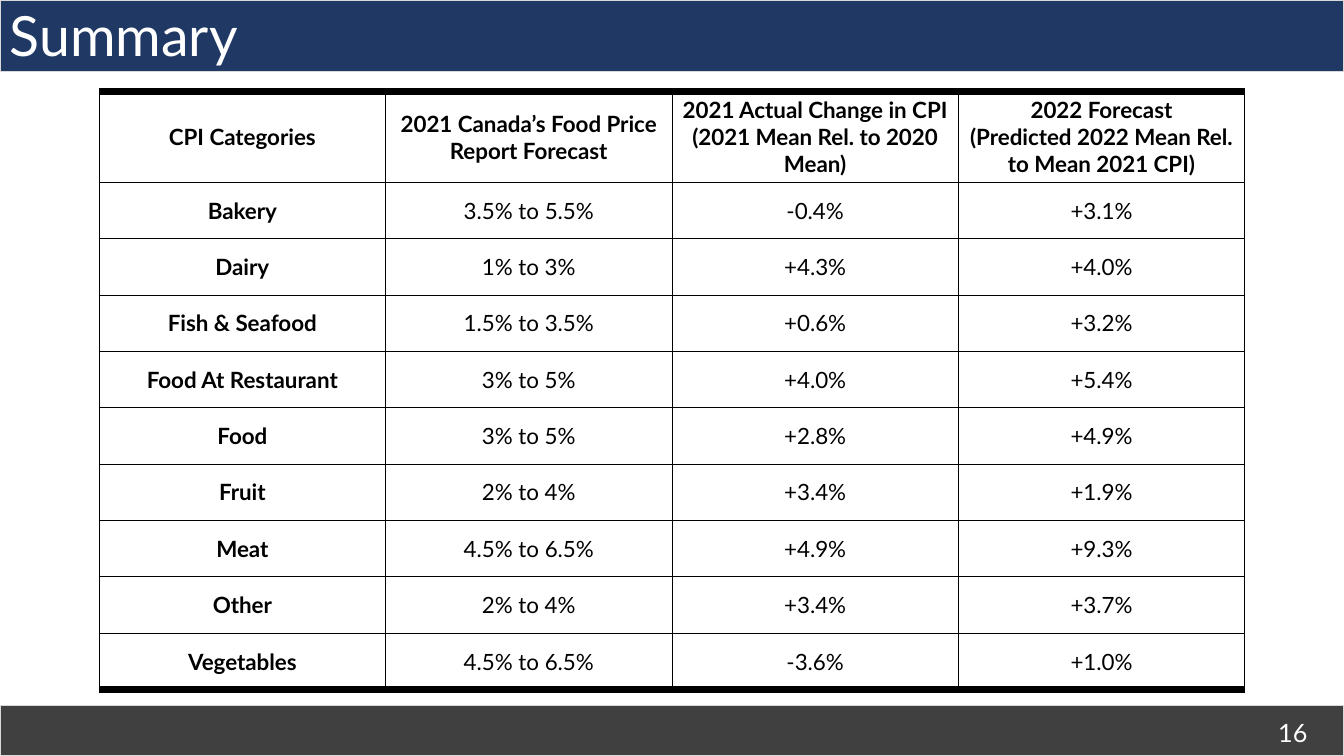
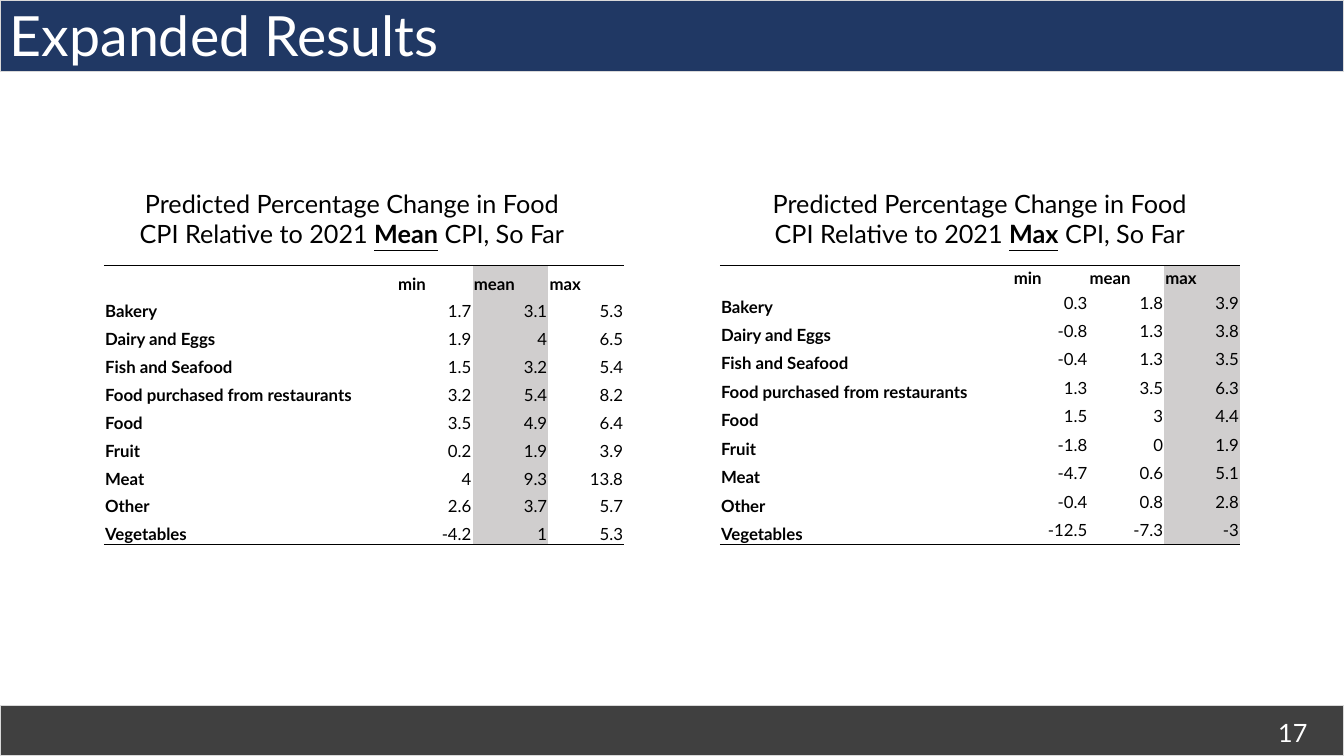
from dataclasses import dataclass

from pptx import Presentation
from pptx.dml.color import RGBColor
from pptx.enum import shapes, text
from pptx.oxml import xmlchemy
from pptx import util as u


@dataclass(frozen=True)
class Theme:
    font: str = "Lato"
    navy: str = "203864"
    charcoal: str = "404040"
    outline: str = "D9D9D9"
    highlight: str = "D0CECE"
    black: str = "000000"
    white: str = "FFFFFF"
    title_size: float = 39.6
    caption_size: float = 18
    summary_size: float = 16
    result_size: float = 12


@dataclass(frozen=True)
class Box:
    left: float
    top: float
    width: float
    height: float

    def lengths(self):
        return [u.Cm(side) for side in (self.left, self.top, self.width, self.height)]


THEME = Theme()
PAGE = Box(0, 0, 33.87, 19.05)
CENTER, LEFT, RIGHT = text.PP_ALIGN.CENTER, text.PP_ALIGN.LEFT, text.PP_ALIGN.RIGHT
MIDDLE, BOTTOM = text.MSO_ANCHOR.MIDDLE, text.MSO_ANCHOR.BOTTOM

SUMMARY_ROWS = [
    ("CPI Categories", "2021 Canada’s Food Price Report Forecast",
     "2021 Actual Change in CPI (2021 Mean Rel. to 2020 Mean)",
     "2022 Forecast\n(Predicted 2022 Mean Rel. to Mean 2021 CPI)"),
    ("Bakery", "3.5% to 5.5%", "-0.4%", "+3.1%"),
    ("Dairy", "1% to 3%", "+4.3%", "+4.0%"),
    ("Fish & Seafood", "1.5% to 3.5%", "+0.6%", "+3.2%"),
    ("Food At Restaurant", "3% to 5%", "+4.0%", "+5.4%"),
    ("Food", "3% to 5%", "+2.8%", "+4.9%"),
    ("Fruit", "2% to 4%", "+3.4%", "+1.9%"),
    ("Meat", "4.5% to 6.5%", "+4.9%", "+9.3%"),
    ("Other", "2% to 4%", "+3.4%", "+3.7%"),
    ("Vegetables", "4.5% to 6.5%", "-3.6%", "+1.0%"),
]
RESULT_HEADER = ("", "min", "mean", "max")
RESULT_LABELS = ("Bakery", "Dairy and Eggs", "Fish and Seafood",
                 "Food purchased from restaurants", "Food", "Fruit", "Meat",
                 "Other", "Vegetables")
MEAN_VALUES = [
    ("1.7", "3.1", "5.3"), ("1.9", "4", "6.5"), ("1.5", "3.2", "5.4"),
    ("3.2", "5.4", "8.2"), ("3.5", "4.9", "6.4"), ("0.2", "1.9", "3.9"),
    ("4", "9.3", "13.8"), ("2.6", "3.7", "5.7"), ("-4.2", "1", "5.3"),
]
MAX_VALUES = [
    ("0.3", "1.8", "3.9"), ("-0.8", "1.3", "3.8"), ("-0.4", "1.3", "3.5"),
    ("1.3", "3.5", "6.3"), ("1.5", "3", "4.4"), ("-1.8", "0", "1.9"),
    ("-4.7", "0.6", "5.1"), ("-0.4", "0.8", "2.8"), ("-12.5", "-7.3", "-3"),
]


def add_span(para, words, *, size, color=THEME.black, bold=False, underline=False):
    span = para.add_run()
    span.text = words
    font = span.font
    font.name, font.size = THEME.font, u.Pt(size)
    font.bold, font.underline = bold, underline
    font.color.rgb = RGBColor.from_string(color)


def write(frame, words, *, align=LEFT, size, **style):
    for index, line in enumerate(words.split("\n")):
        para = frame.add_paragraph() if index else frame.paragraphs[0]
        para.alignment = align
        if line:
            add_span(para, line, size=size, **style)
        else:
            ending = xmlchemy.OxmlElement("a:endParaRPr")
            ending.set("sz", str(size * 100))
            para._p.append(ending)


def add_text_box(page, box, anchor=text.MSO_ANCHOR.TOP):
    frame = page.shapes.add_textbox(*box.lengths()).text_frame
    frame.word_wrap = True
    frame.vertical_anchor = anchor
    return frame


def add_band(page, box, color):
    band = page.shapes.add_shape(shapes.MSO_SHAPE.RECTANGLE, *box.lengths())
    band.shadow.inherit = False
    band.fill.solid()
    band.fill.fore_color.rgb = RGBColor.from_string(color)
    band.line.color.rgb = RGBColor.from_string(THEME.outline)
    band.line.width = u.Pt(1)


def add_page(deck, title, number):
    page = deck.slides.add_slide(deck.slide_layouts[6])
    add_band(page, Box(0, 0, PAGE.width, 1.8), THEME.navy)
    add_band(page, Box(0, 17.78, PAGE.width, 1.27), THEME.charcoal)
    write(add_text_box(page, Box(25.58, 17.96, 7.62, 1.02)), str(number),
          align=RIGHT, size=THEME.caption_size, color=THEME.white)
    write(add_text_box(page, Box(0, 0, PAGE.width, 1.73), MIDDLE), title,
          size=THEME.title_size, color=THEME.white)
    return page


def set_borders(cell, left=0, right=0, top=0, bottom=0):
    properties = cell._tc.get_or_add_tcPr()
    for side, width in zip("LRTB", (left, right, top, bottom)):
        line = xmlchemy.OxmlElement(f"a:ln{side}")
        line.set("w", str(int(u.Pt(width))))
        fill = xmlchemy.OxmlElement("a:solidFill" if width else "a:noFill")
        if width:
            color = xmlchemy.OxmlElement("a:srgbClr")
            color.set("val", THEME.black)
            fill.append(color)
        line.append(fill)
        properties.append(line)


def set_fill(cell, color=None):
    if color:
        cell.fill.solid()
        cell.fill.fore_color.rgb = RGBColor.from_string(color)
    else:
        cell.fill.background()


def set_margins(cell, side, top, bottom):
    cell.margin_left = cell.margin_right = u.Cm(side)
    cell.margin_top, cell.margin_bottom = u.Cm(top), u.Cm(bottom)


def add_grid(page, box, rows, widths, header_height):
    grid = page.shapes.add_table(len(rows), len(widths), *box.lengths()).table
    grid.first_row = grid.horz_banding = False
    for column, width in zip(grid.columns, widths):
        column.width = u.Cm(width)
    body_height = (box.height - header_height) / (len(rows) - 1)
    for index, row in enumerate(grid.rows):
        row.height = u.Cm(body_height if index else header_height)
    cells = [(r, c, grid.cell(r, c), words)
             for r, row in enumerate(rows) for c, words in enumerate(row)]
    return cells


def add_summary(page, box):
    last = len(SUMMARY_ROWS) - 1
    widths = [box.width / 4] * 4
    thin, thick = 0.75, 6
    for r, c, cell, words in add_grid(page, box, SUMMARY_ROWS, widths, 2.27):
        set_borders(cell, thin, thin, thin if r else thick,
                    thick if r == last else thin)
        set_fill(cell, THEME.white)
        cell.vertical_anchor = MIDDLE
        write(cell.text_frame, words, align=CENTER, size=THEME.summary_size,
              bold=r == 0 or c == 0)


def add_result(page, box, measure, values, *, highlighted, header_height,
               value_margins, caption_left):
    caption = add_text_box(page, Box(box.left + caption_left, box.top - 2.08, 11.84, 1.8))
    write(caption, "Predicted Percentage Change in Food CPI Relative to 2021 ",
          align=CENTER, size=THEME.caption_size)
    para = caption.paragraphs[0]
    add_span(para, measure, size=THEME.caption_size, bold=True, underline=True)
    add_span(para, " CPI, So Far", size=THEME.caption_size)

    rows = [RESULT_HEADER] + [(label, *line) for label, line in zip(RESULT_LABELS, values)]
    value_width = 1.91
    widths = [box.width - 3 * value_width] + [value_width] * 3
    for r, c, cell, words in add_grid(page, box, rows, widths, header_height):
        is_value = r > 0 and c > 0
        set_borders(cell, top=0 if r else 1, bottom=1 if r == len(rows) - 1 else 0)
        set_fill(cell, THEME.highlight if c == highlighted else None)
        set_margins(cell, 0.03, *(value_margins if is_value else (0.03, 0)))
        cell.vertical_anchor = BOTTOM
        write(cell.text_frame, words, align=RIGHT if is_value else LEFT,
              size=THEME.result_size, bold=not is_value)


def main():
    deck = Presentation()
    deck.slide_width, deck.slide_height = u.Cm(PAGE.width), u.Cm(PAGE.height)

    add_summary(add_page(deck, "Summary", 16), Box(2.5, 2.31, 28.87, 15.05))

    results = add_page(deck, "Expanded Results", 17)
    add_result(results, Box(2.62, 6.7, 13.11, 7.02), "Mean", MEAN_VALUES,
               highlighted=2, header_height=0.7, value_margins=(0.03, 0),
               caption_left=0.33)
    add_result(results, Box(18.14, 6.7, 13.11, 7.02), "Max", MAX_VALUES,
               highlighted=3, header_height=0.56, value_margins=(0.1, 0.1),
               caption_left=0.63)

    deck.save("out.pptx")


if __name__ == "__main__":
    main()
